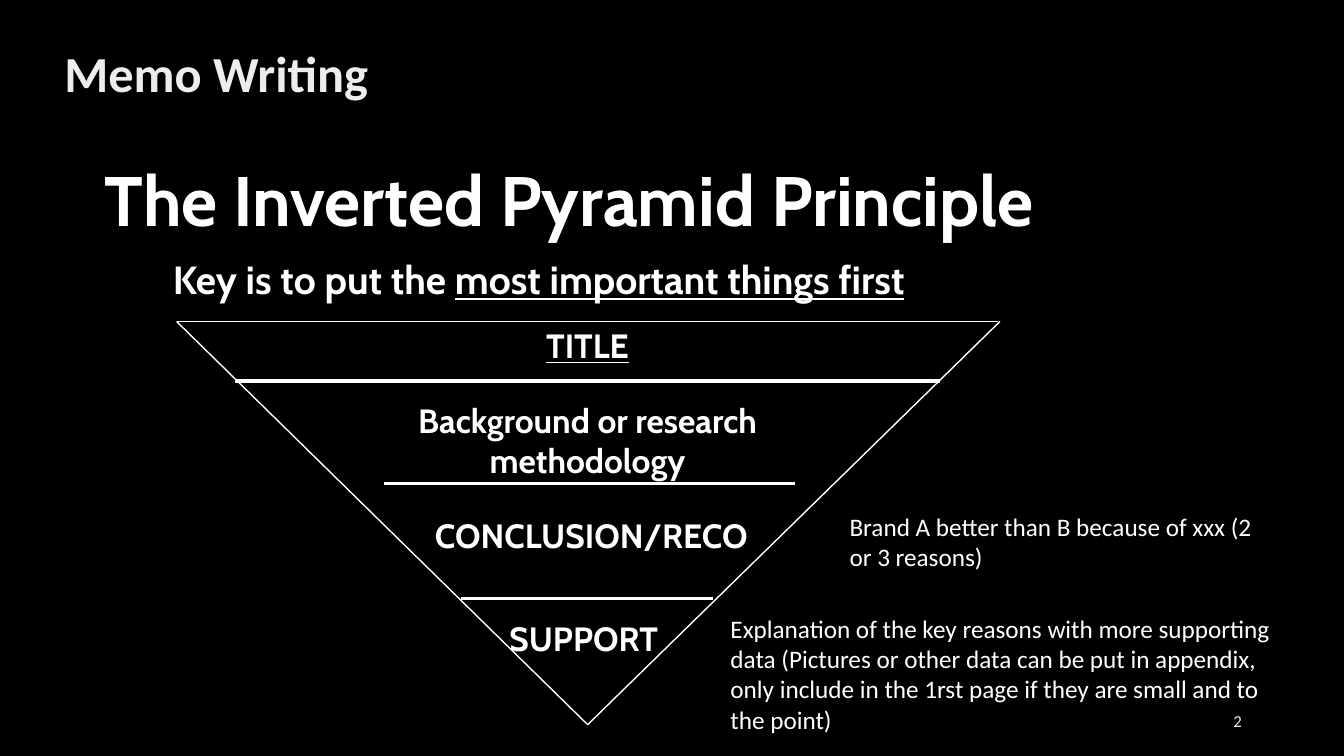
"""Build the memo-writing slide with its inverted pyramid."""
from dataclasses import dataclass

from lxml import etree
from pptx import Presentation
from pptx.dml.color import RGBColor
from pptx.enum.shapes import MSO_CONNECTOR
from pptx.enum.text import MSO_ANCHOR, MSO_AUTO_SIZE, PP_ALIGN
from pptx.oxml.ns import qn
from pptx.util import Cm, Pt

STRAIGHT = MSO_CONNECTOR.STRAIGHT
TOP, MIDDLE = MSO_ANCHOR.TOP, MSO_ANCHOR.MIDDLE
LEFT, CENTER, RIGHT = PP_ALIGN.LEFT, PP_ALIGN.CENTER, PP_ALIGN.RIGHT
NO_FIT = MSO_AUTO_SIZE.NONE
COLORS = {"background": "000000", "title": "EDEDED", "ink": "FFFFFF"}


@dataclass
class Span:
    text: str
    underline: bool = False


@dataclass
class Para:
    spans: list[Span]
    space_before: float = 0


@dataclass
class Block:
    left: float
    top: float
    width: float
    height: float
    paras: list[Para]
    size: float
    font: str = "Calibri"
    bold: bool = False
    color: str = "ink"
    align: PP_ALIGN = LEFT
    anchor: MSO_ANCHOR = TOP
    line_spacing: float = 1.0
    inset_x: float = 0.25
    inset_y: float = 0.13


@dataclass
class Edge:
    x1: float
    y1: float
    x2: float
    y2: float
    weight: float


TITLE = Block(1.37, 1.02, 29.21, 1.78, [Para([Span("Memo Writing")])], 36,
              bold=True, color="title", anchor=MIDDLE, line_spacing=0.9)

BLOCKS = [
    Block(23.93, 17.65, 7.62, 1.02, [Para([Span("2")])], 12,
          color="title", align=RIGHT, anchor=MIDDLE),
    Block(4.06, 6.43, 21.59, 1.6,
          [Para([Span("Key is to put the "), Span("most important things first", True)])],
          28, "Cabin", True, line_spacing=0.9, inset_x=0.3, inset_y=0.15),
    Block(2.39, 4.14, 26.26, 2.11, [Para([Span("The Inverted Pyramid Principle")])],
          50, "Cabin", True, anchor=MIDDLE, line_spacing=0.8),
    Block(7.82, 8.1, 13.97, 8.84,
          [Para([Span("TITLE", True)]),
           Para([Span("Background or research methodology")], 24.5),
           Para([Span(" CONCLUSION/RECO")], 24.5),
           Para([Span("SUPPORT ")], 44.5)],
          24, "Cabin", True, align=CENTER, inset_x=0.23, inset_y=0.1),
    Block(21.16, 12.75, 11, 1.8,
          [Para([Span("Brand A better than B because of xxx (2 or 3 reasons)")])], 18),
    Block(18.16, 15.32, 14.48, 3.33,
          [Para([Span("Explanation of the key reasons with more supporting data "
                      "(Pictures or other data can be put in appendix, only include in "
                      "the 1rst page if they are small and to the point)")])], 18),
]

EDGES = [
    Edge(4.45, 8.1, 14.81, 18.26, 1),
    Edge(25.2, 8.1, 14.81, 18.26, 1),
    Edge(4.47, 8.1, 25.15, 8.1, 1),
    Edge(5.92, 9.6, 23.7, 9.6, 2.25),
    Edge(9.68, 12.19, 20.04, 12.19, 2.25),
    Edge(11.63, 15.09, 17.98, 15.09, 2.25),
]


def rgb(name: str) -> RGBColor:
    """Return the named colour."""
    return RGBColor.from_string(COLORS[name])


def fill_box(box, block: Block) -> None:
    """Place a text shape and write the block's paragraphs in it."""
    box.left, box.top = Cm(block.left), Cm(block.top)
    box.width, box.height = Cm(block.width), Cm(block.height)
    frame = box.text_frame
    frame.word_wrap = True
    frame.auto_size = NO_FIT
    frame.vertical_anchor = block.anchor
    frame.margin_left = frame.margin_right = Cm(block.inset_x)
    frame.margin_top = frame.margin_bottom = Cm(block.inset_y)
    for index, para in enumerate(block.paras):
        paragraph = frame.add_paragraph() if index else frame.paragraphs[0]
        paragraph.alignment = block.align
        paragraph.line_spacing = block.line_spacing
        paragraph.space_before = Pt(para.space_before)
        font = paragraph.font
        font.name, font.size, font.bold = block.font, Pt(block.size), block.bold
        font.color.rgb = rgb(block.color)
        for span in para.spans:
            run = paragraph.add_run()
            run.text = span.text
            if span.underline:
                run.font.underline = True


def draw_edge(page, edge: Edge) -> None:
    """Draw one line of the pyramid."""
    line = page.shapes.add_connector(
        STRAIGHT, Cm(edge.x1), Cm(edge.y1), Cm(edge.x2), Cm(edge.y2))
    line.line.color.rgb = rgb("ink")
    line.line.width = Pt(edge.weight)
    etree.SubElement(line._element.spPr, qn("a:effectLst"))


def main() -> None:
    """Build and save the deck."""
    deck = Presentation()
    deck.slide_width, deck.slide_height = Cm(33.87), Cm(19.05)
    page = deck.slides.add_slide(deck.slide_layouts.get_by_name("Title Only"))
    page.background.fill.solid()
    page.background.fill.fore_color.rgb = rgb("background")
    fill_box(page.shapes.title, TITLE)
    for edge in EDGES:
        draw_edge(page, edge)
    for block in BLOCKS:
        fill_box(page.shapes.add_textbox(0, 0, 0, 0), block)
    deck.save("out.pptx")


if __name__ == "__main__":
    main()
